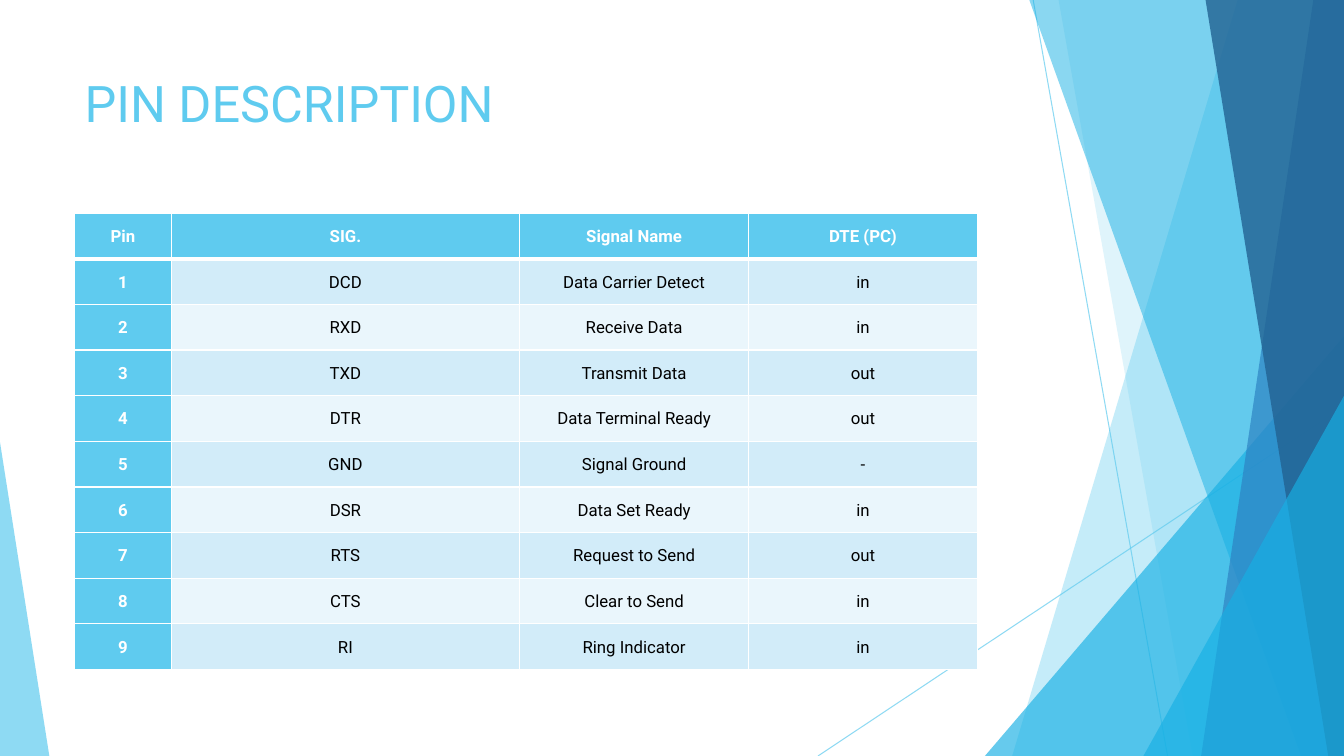
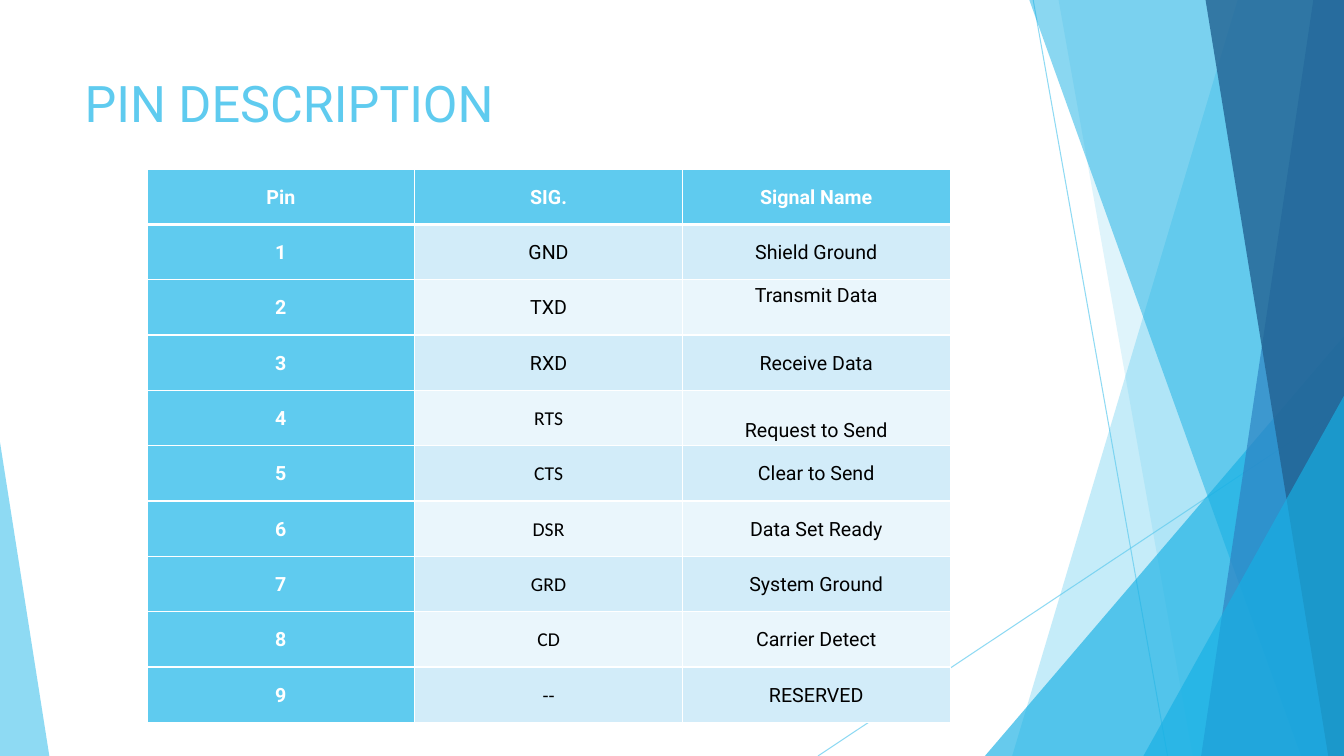
from dataclasses import dataclass

from lxml import etree
from pptx import Presentation
from pptx.dml.color import RGBColor
from pptx.enum.shapes import MSO_CONNECTOR, MSO_SHAPE
from pptx.enum.text import MSO_ANCHOR, MSO_AUTO_SIZE, PP_ALIGN
from pptx.oxml.ns import qn
from pptx.util import Pt

PX = 9525
W, H = 1280, 720
TRIANGLE = MSO_SHAPE.ISOSCELES_TRIANGLE
STRAIGHT = MSO_CONNECTOR.STRAIGHT
TOP, MIDDLE = MSO_ANCHOR.TOP, MSO_ANCHOR.MIDDLE
LEFT, CENTER = PP_ALIGN.LEFT, PP_ALIGN.CENTER


@dataclass(frozen=True)
class Theme:
    sky: RGBColor = RGBColor.from_string("5FCBEF")
    cyan: RGBColor = RGBColor.from_string("17B0E4")
    blue: RGBColor = RGBColor.from_string("2E83C3")
    navy: RGBColor = RGBColor.from_string("226292")
    band_dark: RGBColor = RGBColor.from_string("D2ECF9")
    band_light: RGBColor = RGBColor.from_string("EAF6FC")
    white: RGBColor = RGBColor.from_string("FFFFFF")
    black: RGBColor = RGBColor.from_string("000000")
    font: str = "Roboto"
    alt_font: str = "Calibri"
    title_size: int = 36


T = Theme()


def set_opacity(shape, percent):
    for clr in shape.element.spPr.iter(qn("a:srgbClr")):
        etree.SubElement(clr, qn("a:alpha"), val=str(percent * 1000))


def set_borders(cell, top, bottom):
    """Draw white cell borders; top and bottom widths are in points."""
    tc_pr = cell._tc.get_or_add_tcPr()
    for side, width in (("lnL", 1), ("lnR", 1), ("lnT", top), ("lnB", bottom)):
        ln = etree.SubElement(tc_pr, qn(f"a:{side}"), w=str(Pt(width)))
        fill = etree.SubElement(ln, qn("a:solidFill"))
        etree.SubElement(fill, qn("a:srgbClr"), val=str(T.white))


prs = Presentation()
prs.slide_width, prs.slide_height = W * PX, H * PX
layout = prs.slide_layouts[5]
first = prs.slides.add_slide(layout)
slides = [first, prs.slides.add_slide(layout)]

# Backdrop: drawn once, then moved to the layout behind its placeholders
backdrop = []
for x1, y1, x2, y2 in [(984, 0, 1112, H), (W, 387, 779, H)]:
    line = first.shapes.add_connector(STRAIGHT, x1 * PX, y1 * PX, x2 * PX, y2 * PX)
    line.line.color.rgb = T.sky
    line.line.width = Pt(0.75)
    set_opacity(line, 70)
    etree.SubElement(line.element.spPr, qn("a:effectLst"))
    backdrop.append(line)

# Panels fill the space between a slanted left edge and the right of the slide
panels = [  # top x, top y, bottom x, colour, opacity
    (1179, -1, 964, T.sky, 36),
    (1008, -1, 1136, T.sky, 20),
    (W, 320, 938, T.cyan, 66),
    (980, -1, 1239, T.cyan, 50),
    (1251, -1, 1144, T.blue, 70),
    (1148, -1, 1265, T.navy, 80),
    (W, 377, 1089, T.cyan, 66),
    (0, 421, 47, T.sky, 70),
]
for top_x, top_y, bottom_x, color, opacity in panels:
    if top_x in (0, W):
        left, right = sorted((top_x, bottom_x))
        sp = first.shapes.add_shape(TRIANGLE, left * PX, top_y * PX,
                                    (right - left) * PX, (H - top_y) * PX)
        sp.adjustments[0] = top_x / W
    else:
        outline = first.shapes.build_freeform(top_x, top_y, scale=PX)
        outline.add_line_segments([(W, top_y), (W, H), (bottom_x, H)])
        sp = outline.convert_to_shape()
    sp.shadow.inherit = False
    sp.fill.solid()
    sp.fill.fore_color.rgb = color
    sp.line.fill.background()
    set_opacity(sp, opacity)
    backdrop.append(sp)

layout_tree = layout.shapes.element
for i, sp in enumerate(backdrop):
    layout_tree.insert(2 + i, sp.element)

serial_9 = [
    ("Pin", "SIG.", "Signal Name", "DTE (PC)"),
    ("1", "DCD", "Data Carrier Detect", "in"),
    ("2", "RXD", "Receive Data", "in"),
    ("3", "TXD", "Transmit Data", "out"),
    ("4", "DTR", "Data Terminal Ready", "out"),
    ("5", "GND", "Signal Ground", "-"),
    ("6", "DSR", "Data Set Ready", "in"),
    ("7", "RTS", "Request to Send", "out"),
    ("8", "CTS", "Clear to Send", "in"),
    ("9", "RI", "Ring Indicator", "in"),
]
serial_25 = [
    ("Pin", "SIG.", "Signal Name"),
    ("1", "GND", "Shield Ground"),
    ("2", "TXD", "Transmit Data"),
    ("3", "RXD", "Receive Data"),
    ("4", "RTS", "Request to Send"),
    ("5", "CTS", "Clear to Send"),
    ("6", "DSR", "Data Set Ready"),
    ("7", "GRD", "System Ground"),
    ("8", "CD", "Carrier Detect"),
    ("9", "--", "RESERVED"),
]
# rows, table left, top, height, column widths, type size, title height,
# cells set in the second font
pages = [
    (serial_9, 71, 203, 435, (92, 332, 218, 218), 12, 138, set()),
    (serial_25, 140, 161, 527, (255, 255, 255), 14, 82,
     {(row, 1) for row in range(4, 10)}),
]

tables = []
for slide, page in zip(slides, pages):
    rows, x, y, height, widths, size, title_height, alt_cells = page

    title = slide.shapes.title
    title.left, title.top = 71 * PX, 64 * PX
    title.width, title.height = 902 * PX, title_height * PX
    tf = title.text_frame
    tf.text = "PIN DESCRIPTION"
    tf.auto_size = MSO_AUTO_SIZE.NONE
    tf.vertical_anchor = TOP
    p = tf.paragraphs[0]
    p.alignment = LEFT
    p.font.name, p.font.size = T.font, Pt(T.title_size)
    p.font.color.rgb = T.sky

    table = slide.shapes.add_table(len(rows), len(widths), x * PX, y * PX,
                                   sum(widths) * PX, height * PX).table
    table.first_col = True
    table.horz_banding = False
    tables.append(table)
    for column, width in zip(table.columns, widths):
        column.width = width * PX

    for r, texts in enumerate(rows):
        for c, text in enumerate(texts):
            cell = table.cell(r, c)
            heading = r == 0 or c == 0
            set_borders(cell, 3 if r == 1 else 1, 3 if r == 0 else 1)
            cell.fill.solid()
            band = T.band_dark if r % 2 else T.band_light
            cell.fill.fore_color.rgb = T.sky if heading else band
            cell.vertical_anchor = MIDDLE
            cell.margin_left = cell.margin_right = PX
            cell.margin_top = cell.margin_bottom = PX
            cell.text = text
            p = cell.text_frame.paragraphs[0]
            p.alignment = CENTER
            p.line_spacing = 1.07
            p.font.name = T.alt_font if (r, c) in alt_cells else T.font
            p.font.size = Pt(size)
            p.font.bold = heading
            p.font.color.rgb = T.white if heading else T.black

# Two signal names sit off the middle of their rows
tables[1].cell(2, 2).margin_bottom = 24 * PX
tables[1].cell(4, 2).margin_top = 24 * PX

prs.save("out.pptx")
